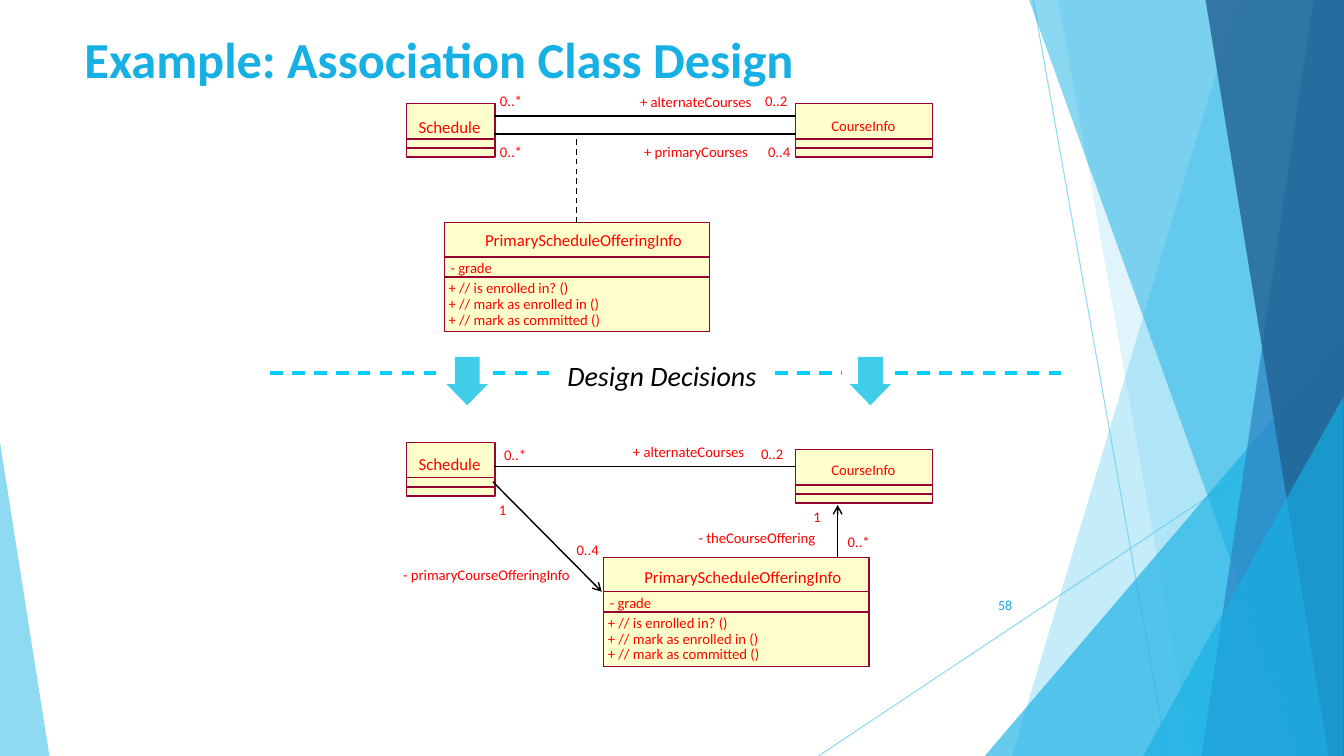
"""Build the association class design slide on a grid of tenth-of-an-inch cells."""
from dataclasses import dataclass
from typing import Optional, Union

from lxml import etree
from pptx import Presentation, slide as sl, util as u
from pptx.dml import color as dc
from pptx.enum import dml, shapes, text
from pptx.oxml import ns

COLUMNS, ROWS = 133.33, 75


@dataclass(frozen=True)
class Theme:
    font: str = "Calibri"
    title: str = "17B0E4"
    ink: str = "000000"
    label: str = "FF0000"
    class_fill: str = "FFFFCC"
    class_line: str = "990033"
    step: str = "3FCDE7"
    divider: str = "00CCFF"
    sky: str = "5FCBEF"
    azure: str = "17B0E4"
    steel: str = "2E83C3"
    navy: str = "226292"
    title_size: float = 36
    decision_size: float = 20
    name_size: float = 12
    label_size: float = 10.5
    number_size: float = 10


THEME = Theme()


@dataclass(frozen=True)
class Label:
    wording: str
    col: float
    row: float
    width: float
    size: float = THEME.label_size
    color: str = THEME.label
    height: float = 1.8
    align: text.PP_ALIGN = text.PP_ALIGN.LEFT


@dataclass(frozen=True)
class Caption(Label):
    anchor: text.MSO_ANCHOR = text.MSO_ANCHOR.MIDDLE
    bold: bool = False
    italic: bool = False


@dataclass(frozen=True)
class Link:
    start: tuple[float, float]
    end: tuple[float, float]
    color: str = THEME.ink
    weight: float = 1
    dashed: bool = False
    arrow: bool = False
    opacity: int = 100


@dataclass(frozen=True)
class Facet:
    points: tuple[tuple[float, float], ...]
    color: str
    opacity: int


@dataclass(frozen=True)
class Wedge:
    col: float
    row: float
    width: float
    apex: float
    color: str
    opacity: int


@dataclass(frozen=True)
class ClassBox:
    name: Label
    col: float
    row: float
    width: float


def cells(count: float) -> u.Length:
    return u.Inches(count / 10)


def set_opacity(shape, percent: int) -> None:
    if percent < 100:
        for tint in shape._element.iter(ns.qn("a:srgbClr")):
            etree.SubElement(tint, ns.qn("a:alpha")).set("val", str(percent * 1000))


def paint(shape, fill: str, line: Optional[str] = None, opacity: int = 100) -> None:
    shape.shadow.inherit = False
    shape.fill.solid()
    shape.fill.fore_color.rgb = dc.RGBColor.from_string(fill)
    if line:
        shape.line.color.rgb = dc.RGBColor.from_string(line)
        shape.line.width = u.Pt(1)
    else:
        shape.line.fill.background()
    set_opacity(shape, opacity)


def draw_label(slide: sl.Slide, label: Label) -> None:
    box = slide.shapes.add_textbox(*map(cells, (label.col, label.row, label.width, label.height)))
    frame = box.text_frame
    paragraph = frame.paragraphs[0]
    paragraph.text = label.wording
    paragraph.alignment = label.align
    paragraph.font.name = THEME.font
    paragraph.font.size = u.Pt(label.size)
    paragraph.font.color.rgb = dc.RGBColor.from_string(label.color)
    if isinstance(label, Caption):
        frame.word_wrap = True
        frame.vertical_anchor = label.anchor
        paragraph.font.bold = label.bold
        paragraph.font.italic = label.italic
    else:
        frame.word_wrap = False
        frame.auto_size = text.MSO_AUTO_SIZE.SHAPE_TO_FIT_TEXT
        frame.margin_left = frame.margin_right = frame.margin_top = frame.margin_bottom = 0


def draw_link(slide: sl.Slide, link: Link) -> None:
    connector = slide.shapes.add_connector(
        shapes.MSO_CONNECTOR.STRAIGHT, *map(cells, (*link.start, *link.end)))
    connector.line.color.rgb = dc.RGBColor.from_string(link.color)
    connector.line.width = u.Pt(link.weight)
    if link.dashed:
        connector.line.dash_style = dml.MSO_LINE.DASH
    properties = connector._element.spPr
    if link.arrow:
        outline = properties.find(ns.qn("a:ln"))
        etree.SubElement(outline, ns.qn("a:tailEnd")).set("type", "arrow")
    etree.SubElement(properties, ns.qn("a:effectLst"))
    set_opacity(connector, link.opacity)


def draw_backdrop(slide: sl.Slide, part: Union[Facet, Wedge]) -> None:
    if isinstance(part, Facet):
        corners = [(cells(col), cells(row)) for col, row in part.points]
        builder = slide.shapes.build_freeform(*corners[0])
        builder.add_line_segments(corners[1:], close=True)
        shape = builder.convert_to_shape()
    else:
        shape = slide.shapes.add_shape(
            shapes.MSO_SHAPE.ISOSCELES_TRIANGLE,
            *map(cells, (part.col, part.row, part.width, ROWS - part.row)))
        shape.adjustments[0] = part.apex
    paint(shape, part.color, opacity=part.opacity)


def draw_compartment(slide: sl.Slide, col: float, row: float, width: float, height: float) -> None:
    box = slide.shapes.add_shape(shapes.MSO_SHAPE.RECTANGLE, *map(cells, (col, row, width, height)))
    paint(box, THEME.class_fill, THEME.class_line)


def draw_class(slide: sl.Slide, box: ClassBox) -> None:
    draw_compartment(slide, box.col, box.row, box.width, 5.3)
    draw_label(slide, box.name)
    for rule in (box.row + 3.5, box.row + 4.4):
        draw_link(slide, Link((box.col, rule), (box.col + box.width, rule), THEME.class_line))


def draw_association_class(slide: sl.Slide, box: ClassBox) -> None:
    for offset in (0, 3.4, 5.4):
        draw_compartment(slide, box.col, box.row + offset, box.width, 10.8 - offset)
    draw_label(slide, box.name)
    draw_label(slide, Label("- grade", box.col + 0.6, box.row + 3.6, 4.2))
    operations = (("is enrolled in?", 12.1), ("mark as enrolled in", 15.1), ("mark as committed", 15.3))
    for index, (operation, width) in enumerate(operations):
        draw_label(slide, Label(f"+ // {operation} ()", box.col + 0.4, box.row + 5.6 + 1.55 * index, width))


def class_name(wording: str, col: float, row: float, width: float, size: float = THEME.name_size) -> Label:
    return Label(wording, col, row, width, size, height=2, align=text.PP_ALIGN.CENTER)


def right_facet(top: float, bottom: float, color: str, opacity: int) -> Facet:
    return Facet(((top, 0), (COLUMNS, 0), (COLUMNS, ROWS), (bottom, ROWS)), color, opacity)


BACKDROP_LINES = [Link(start, end, THEME.sky, 0.75, opacity=70) for start, end in (
    ((102.5, 0), (115.8, ROWS)), ((COLUMNS, 40.3), (81.2, ROWS)))]
BACKDROP = [
    right_facet(122.8, 100.4, THEME.sky, 36), right_facet(105, 118.3, THEME.sky, 20),
    Wedge(97.7, 33.3, 35.6, 1, THEME.azure, 66), right_facet(102.1, 129.1, THEME.azure, 50),
    right_facet(130.3, 119.2, THEME.steel, 70), right_facet(119.6, 131.8, THEME.navy, 80),
    Wedge(113.4, 39.3, 19.9, 1, THEME.azure, 66), Wedge(0, 43.9, 4.9, 0, THEME.sky, 70)]
CAPTIONS = [
    Caption("Example: Association Class Design", 7.4, -1.4, 94, THEME.title_size, THEME.title, 14.4, bold=True),
    Caption("58", 93.9, 58, 7.5, THEME.number_size, THEME.title, 4, text.PP_ALIGN.RIGHT),
    Caption("Design Decisions", 55.3, 35.1, 22.8, THEME.decision_size, THEME.ink, 4.4,
            anchor=text.MSO_ANCHOR.TOP, italic=True)]
CLASSES = [ClassBox(class_name("Schedule", 41.5, name_row, 6.2), 40.3, row, 8.8)
           for row, name_row in ((10.3, 11.6), (43.9, 45))]
CLASSES += [ClassBox(class_name("CourseInfo", 82.4, name_row, 6.5, THEME.label_size), 78.9, row, 13.6)
            for row, name_row in ((10.3, 11.6), (44.6, 45.7))]
ASSOCIATION_CLASSES = [
    ClassBox(class_name("PrimaryScheduleOfferingInfo", col + 3.95, name_row, 19.7), col, row, 26.3)
    for col, row, name_row in ((44.1, 22.1, 22.8), (59.9, 55.3, 56.2))]
LINKS = [Link((49, row), (79, row)) for row in (11.5, 13.3, 46.3)] + [
    Link((57.2, 22.1), (57.2, 13.2), dashed=True),
    Link((83.1, 55.9 - 0.6), (83.1, 50.1), arrow=True), Link((48.9, 47.8), (59.7, 58.7), arrow=True)]
DIVIDERS = [Link((start, 37), (end, 37), THEME.divider, 2.25, True) for start, end in (
    (26.8, 43.9), (48.9, 55.4), (76.9, 83.5), (88.8, 105.8))]
ROLES = [
    Label("+ alternateCourses", 63.5, 9.2, 11.3), Label("+ primaryCourses", 63.9, 14.2, 10.5),
    Label("+ alternateCourses", 62.8, 43.9, 11.3), Label("- theCourseOffering", 69.3, 52.5, 11.9),
    Label("- primaryCourseOfferingInfo", 40, 56.1, 16.9)]
MULTIPLICITIES = [Label(wording, col, row, 2.2) for wording, col, row in (
    ("0..*", 49.6, 9.1), ("0..2", 75.9, 9.1), ("0..*", 49.6, 14.2), ("0..4", 76.2, 14.2),
    ("0..*", 50, 44.2), ("0..2", 75.5, 44.1), ("0..*", 84.1, 52.9), ("0..4", 57.2, 53.7))]
MULTIPLICITIES += [Label("1", col, row, 0.8) for col, row in ((49.5, 49.7), (80.7, 50.4))]


def main() -> None:
    deck = Presentation()
    deck.slide_width, deck.slide_height = cells(COLUMNS), cells(ROWS)
    slide = deck.slides.add_slide(deck.slide_layouts[6])
    for line in BACKDROP_LINES:
        draw_link(slide, line)
    for part in BACKDROP:
        draw_backdrop(slide, part)
    for box in CLASSES:
        draw_class(slide, box)
    for box in ASSOCIATION_CLASSES:
        draw_association_class(slide, box)
    for link in LINKS + DIVIDERS:
        draw_link(slide, link)
    for col in (44.3, 84.3):
        step = slide.shapes.add_shape(shapes.MSO_SHAPE.DOWN_ARROW, *map(cells, (col, 35.4, 4.1, 4.8)))
        step.adjustments[0], step.adjustments[1] = 0.6, 0.51
        paint(step, THEME.step)
    for label in CAPTIONS + ROLES + MULTIPLICITIES:
        draw_label(slide, label)
    deck.save("out.pptx")


if __name__ == "__main__":
    main()
